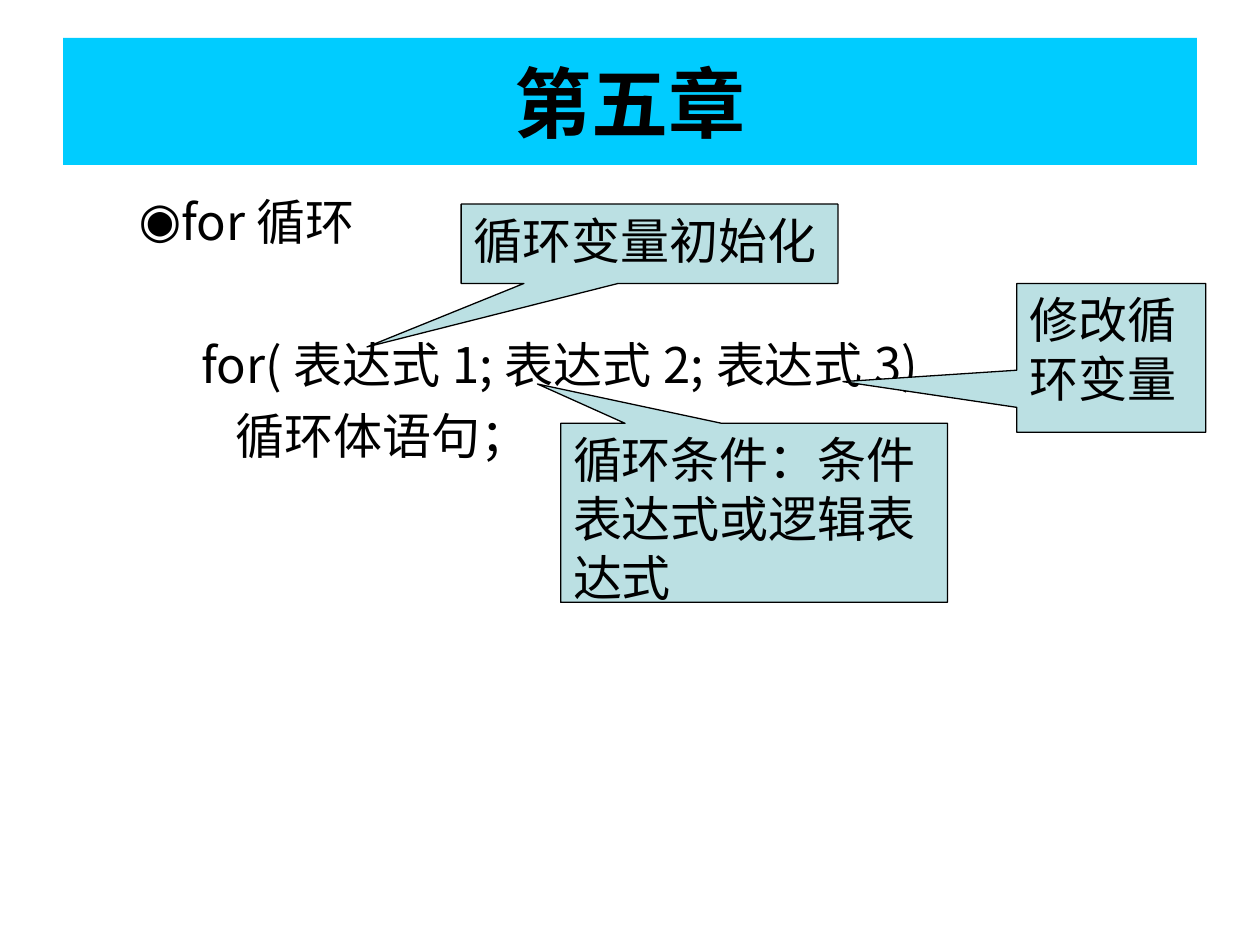
from lxml.etree import SubElement
from pptx import Presentation
from pptx.dml.color import RGBColor as RGB
from pptx.enum.shapes import MSO_SHAPE as Shape
from pptx.enum.text import MSO_ANCHOR as Anchor, MSO_AUTO_SIZE as Fit, PP_ALIGN as Align
from pptx.oxml.ns import qn
from pptx.util import Inches, Pt

COLORS = {"text": "000000", "band": "00CCFF", "note": "BBE0E3"}
LATIN, CJK = "Arial", "Noto Sans CJK SC"


class Deck:
    def __init__(self):
        self.prs = Presentation()
        self.prs.slide_width, self.prs.slide_height = Inches(10), Inches(7.5)
        self.slide = self.prs.slides.add_slide(self.prs.slide_layouts[1])

    def color(self, key):
        return RGB.from_string(COLORS[key])

    def place(self, shape, box):
        shape.left, shape.top, shape.width, shape.height = map(Inches, box)

    def frame(self, shape, anchor):
        frame = shape.text_frame
        frame.word_wrap = True
        frame.auto_size = Fit.NONE
        frame.vertical_anchor = anchor
        return frame

    def run(self, para, text, size=28, font=LATIN, bold=False):
        run = para.add_run()
        run.text = text
        run.font.size, run.font.name, run.font.bold = Pt(size), font, bold
        run.font.color.rgb = self.color("text")

    def fill(self, shape, key):
        shape.fill.solid()
        shape.fill.fore_color.rgb = self.color(key)

    def title(self, text, box):
        shape = self.slide.shapes.title
        self.place(shape, box)
        self.fill(shape, "band")
        para = self.frame(shape, Anchor.MIDDLE).paragraphs[0]
        para.alignment = Align.CENTER
        self.run(para, text, 44, bold=True)

    def body(self, rows, box):
        """Each row is text, level, left margin, first-line indent, space before, bullet."""
        shape = self.slide.placeholders[1]
        self.place(shape, box)
        frame = self.frame(shape, Anchor.TOP)
        for i, (text, level, left, indent, gap, mark) in enumerate(rows):
            para = frame.add_paragraph() if i else frame.paragraphs[0]
            para.level = level
            para.space_before = Pt(gap)
            props = para._p.get_or_add_pPr()
            props.set("marL", str(Inches(left)))
            props.set("indent", str(Inches(indent)))
            if mark:
                SubElement(props, qn("a:buChar")).set("char", mark)
            else:
                SubElement(props, qn("a:buNone"))
            self.run(para, text, font=CJK)

    def callout(self, text, box, tip):
        shape = self.slide.shapes.add_shape(
            Shape.RECTANGULAR_CALLOUT, *map(Inches, box))
        shape.shadow.inherit = False
        for i, value in enumerate(tip):
            shape.adjustments[i] = value
        self.fill(shape, "note")
        shape.line.color.rgb = self.color("text")
        shape.line.width = Pt(0.75)
        para = self.frame(shape, Anchor.TOP).paragraphs[0]
        para.alignment = Align.LEFT
        self.run(para, text)


def main():
    deck = Deck()
    deck.title("第五章", (0.5, 0.3, 9, 1.01))
    deck.body([
        ("for循环", 1, 0.81, -0.31, 0, "◉"),
        ("for(表达式1;表达式2;表达式3)", 2, 1.25, -0.25, 48, None),
        ("循环体语句；", 2, 1.27, 0, 7, None),
    ], (0.5, 1.47, 9, 5.35))
    deck.callout("循环变量初始化", (3.66, 1.62, 2.99, 0.63), (-0.75, 1.3))
    deck.callout("循环条件：条件表达式或逻辑表达式",
                 (4.45, 3.36, 3.07, 1.42), (-0.56, -0.72))
    deck.callout("修改循环变量", (8.07, 2.25, 1.5, 1.18), (-1.42, 0.16))
    deck.prs.save("out.pptx")


if __name__ == "__main__":
    main()
